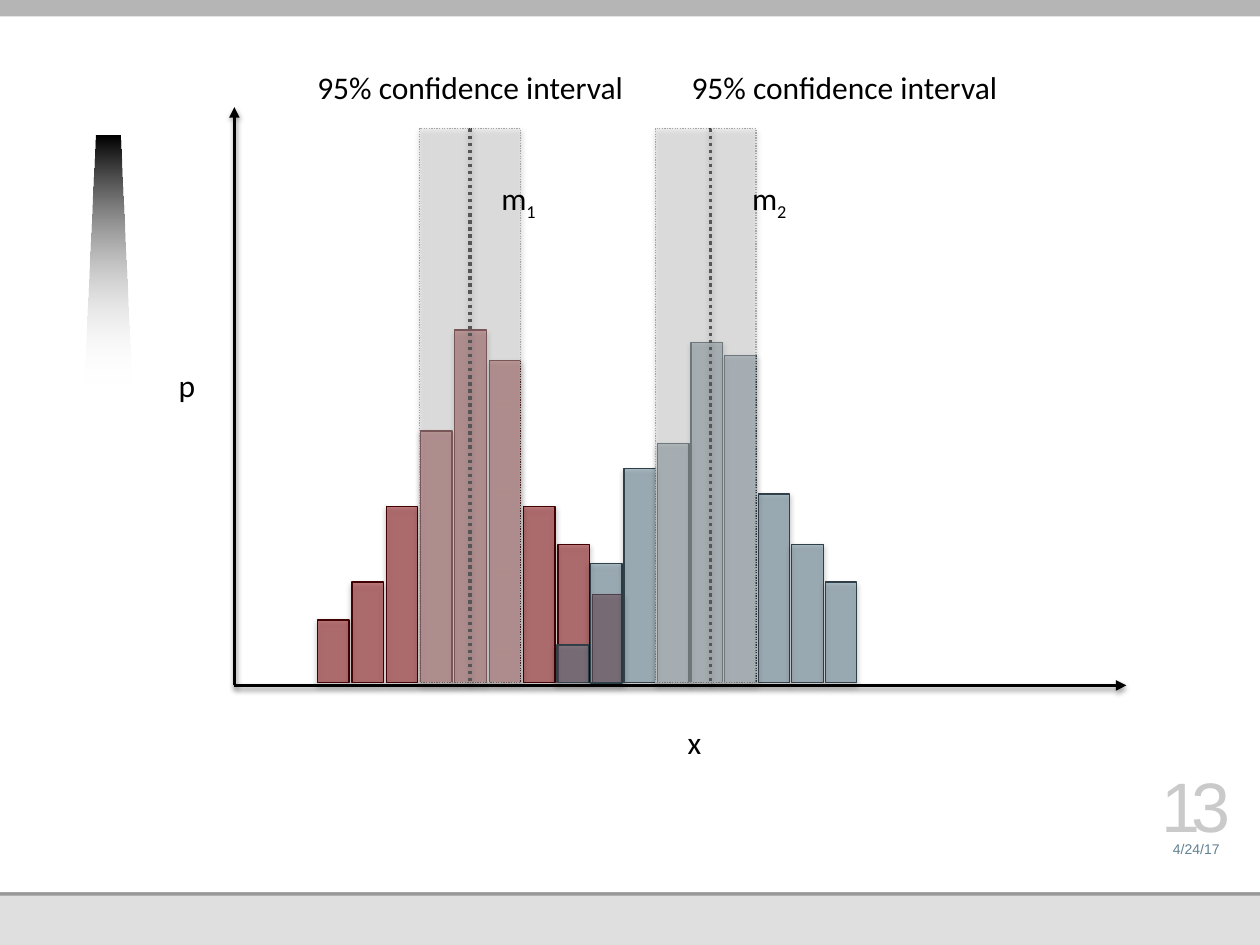
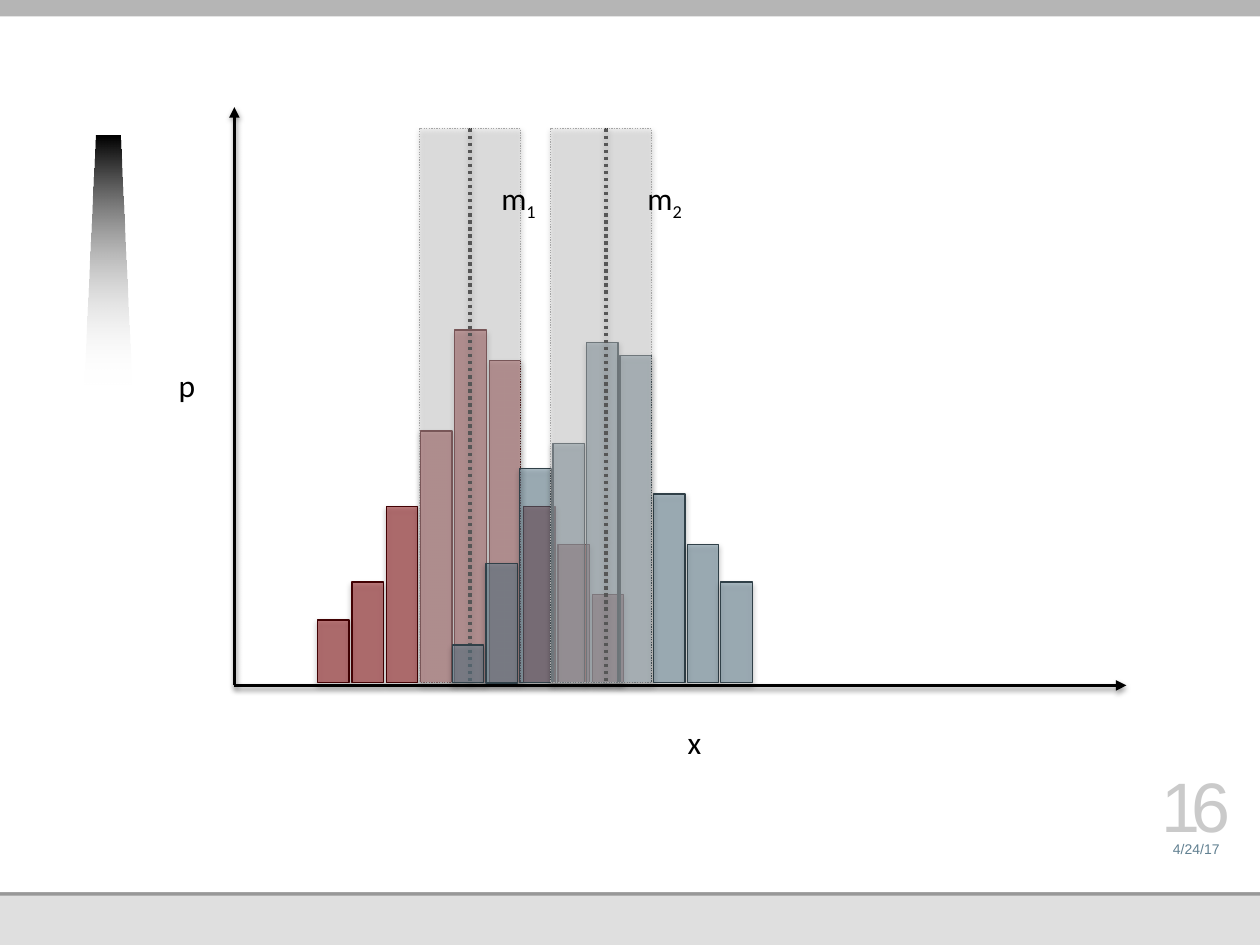
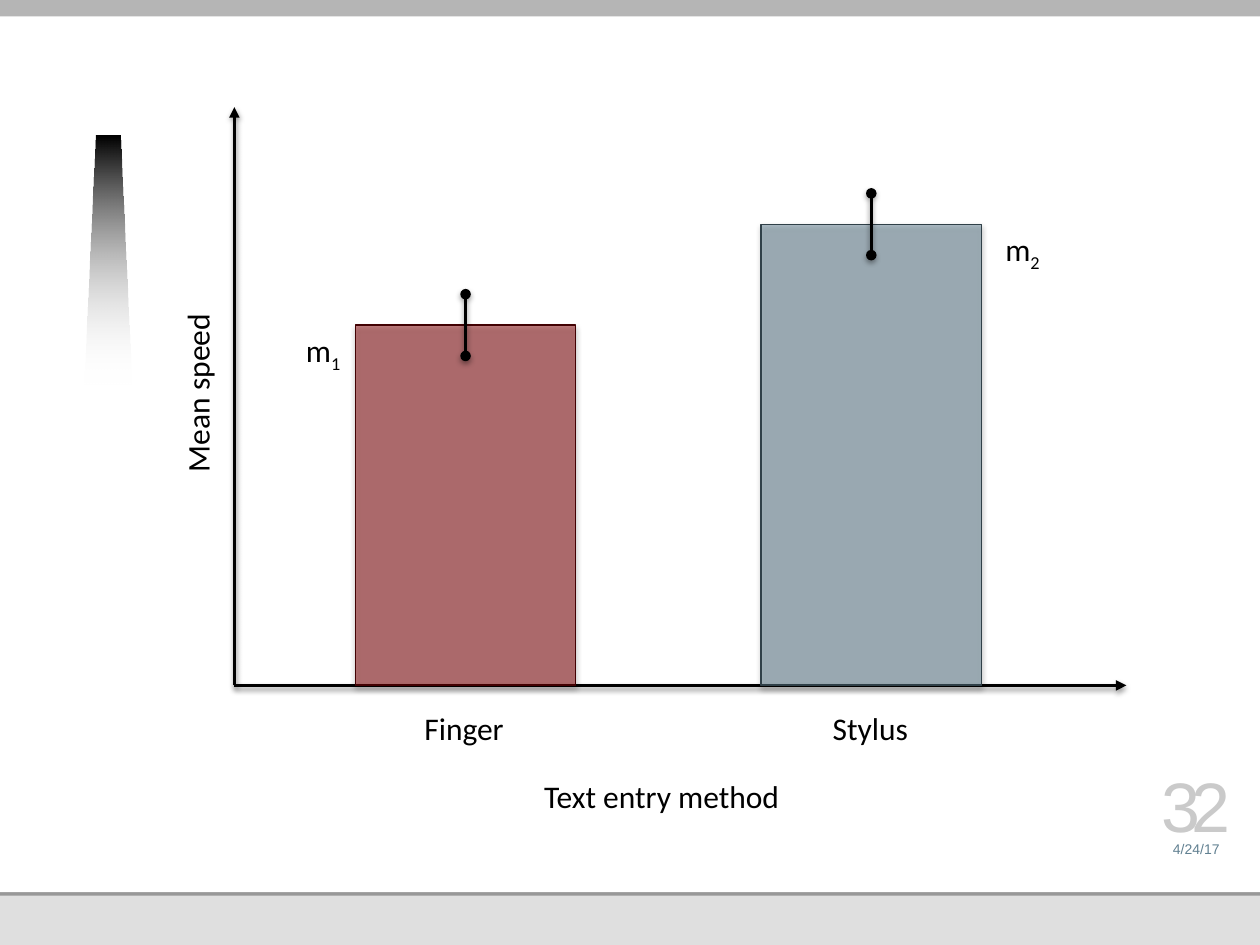
"""Build three slides that compare two sample means."""
from dataclasses import dataclass

from lxml import etree
from pptx import Presentation
from pptx.dml.color import RGBColor
from pptx.enum import dml, shapes, text
from pptx.oxml.ns import qn
from pptx.util import Inches, Pt


@dataclass(frozen=True)
class Theme:
    """Colours, fonts and sizes shared by the slides."""
    black: str = "000000"
    white: str = "FFFFFF"
    footer_band: str = "DFDFDF"
    footer_rule: str = "989898"
    top_band: str = "B5B5B5"
    red: str = "850205"
    red_edge: str = "420103"
    blue: str = "618091"
    blue_edge: str = "304048"
    interval: str = "D9D9D9"
    interval_edge: str = "A6A6A6"
    number: str = "CACACA"
    label_font: str = "Calibri"
    footer_font: str = "Arial"
    label_size: float = 18
    date_size: float = 8
    number_size: float = 40
    axis_width: float = 2
    edge_width: float = 0.75


T = Theme()
ORIGIN_X, ORIGIN_Y = 1.86, 5.44
BAR_BASE, BAR_WIDTH = 5.42, 0.25
INTERVAL_TOP, INTERVAL_WIDTH = 1.02, 0.8
DOT = dml.MSO_LINE.ROUND_DOT


@dataclass(frozen=True)
class Sample:
    """One histogram with its mean and confidence interval."""
    fill: str
    edge: str
    first: float
    last: float
    heights: tuple
    mean: float
    interval: float
    label: float
    index: str


RED = Sample(T.red, T.red_edge, 2.52, 4.7,
             (0.5, 0.8, 1.4, 2, 2.8, 2.56, 1.4, 1.1, 0.7),
             3.74, 3.33, 3.88, "1")
BLUE = Sample(T.blue, T.blue_edge, 4.42, 6.55,
              (0.3, 0.95, 1.7, 1.9, 2.7, 2.6, 1.5, 1.1, 0.8),
              5.64, 5.2, 5.87, "2")


def rgb(colour):
    """Return the colour object for a hex string."""
    return RGBColor.from_string(colour)


def set_alpha(colour_parent, percent):
    """Set the opacity of the colour inside an element."""
    colour = next(colour_parent.iter(qn("a:srgbClr")))
    etree.SubElement(colour, qn("a:alpha"), val=str(percent * 1000))


def add_shadow(sp, opacity, distance):
    """Give a shape or connector a soft shadow straight below it."""
    spPr = sp.element.spPr
    effects = spPr.find(qn("a:effectLst"))
    if effects is None:
        effects = etree.SubElement(spPr, qn("a:effectLst"))
    shadow = etree.SubElement(effects, qn("a:outerShdw"), blurRad=str(Pt(3.1)),
                              dist=str(Pt(distance)), dir="5400000", rotWithShape="0")
    etree.SubElement(shadow, qn("a:srgbClr"), val=T.black)
    set_alpha(shadow, opacity)


def add_band(s, left, top, width, height, fill):
    """Draw a plain rectangle without an outline."""
    sp = s.shapes.add_shape(shapes.MSO_SHAPE.RECTANGLE, Inches(left), Inches(top),
                            Inches(width), Inches(height))
    sp.shadow.inherit = False
    sp.fill.solid()
    sp.fill.fore_color.rgb = rgb(fill)
    sp.line.fill.background()
    return sp


def add_bar(s, left, top, width, height, fill, edge, opacity=50, dash=None):
    """Draw a translucent, outlined rectangle with a shadow."""
    sp = add_band(s, left, top, width, height, fill)
    set_alpha(sp.element.spPr.find(qn("a:solidFill")), opacity)
    sp.line.color.rgb = rgb(edge)
    sp.line.width = Pt(T.edge_width)
    if dash:
        sp.line.dash_style = dash
    add_shadow(sp, 35, 1.8)
    return sp


def add_line(s, x1, y1, x2, y2, head=None, tail=None, dash=None):
    """Draw a black line with optional ends and dashes."""
    line = s.shapes.add_connector(shapes.MSO_CONNECTOR.STRAIGHT, Inches(x1), Inches(y1),
                                  Inches(x2), Inches(y2))
    line.line.color.rgb = rgb(T.black)
    line.line.width = Pt(T.axis_width)
    if dash:
        line.line.dash_style = dash
    ln = line.element.spPr.find(qn("a:ln"))
    for tag, kind in (("a:headEnd", head), ("a:tailEnd", tail)):
        if kind:
            etree.SubElement(ln, qn(tag), type=kind)
    add_shadow(line, 38, 1.6)
    return line


def add_run(p, words, font, size, colour, **attributes):
    """Append a styled run to a paragraph."""
    r = p.add_run()
    r.text = words
    r.font.name = font
    r.font.size = Pt(size)
    r.font.color.rgb = rgb(colour)
    for name, value in attributes.items():
        r._r.get_or_add_rPr().set(name, value)


def add_label(s, left, top, width, words, subscript=None, rotation=0):
    """Write a one-line label, with a subscript if given."""
    sp = s.shapes.add_textbox(Inches(left), Inches(top), Inches(width), Inches(0.4))
    sp.rotation = rotation
    tf = sp.text_frame
    tf.word_wrap = False
    tf.auto_size = text.MSO_AUTO_SIZE.SHAPE_TO_FIT_TEXT
    style = (T.label_font, T.label_size, T.black)
    add_run(tf.paragraphs[0], words, *style)
    if subscript:
        add_run(tf.paragraphs[0], subscript, *style, baseline="-25000")


def add_footer_text(s, top, height, words, size, colour, **attributes):
    """Write a centred line in the footer corner."""
    sp = s.shapes.add_textbox(Inches(9.13), Inches(top), Inches(0.73), Inches(height))
    tf = sp.text_frame
    tf.word_wrap = True
    tf.vertical_anchor = text.MSO_ANCHOR.BOTTOM
    tf.margin_left = tf.margin_top = tf.margin_right = tf.margin_bottom = 0
    p = tf.paragraphs[0]
    p.alignment = text.PP_ALIGN.CENTER
    add_run(p, words, T.footer_font, size, colour, **attributes)


def add_fading_wedge(s):
    """Draw the wedge that fades from black to clear."""
    outline = [(0.67, 3.05), (0.76, 1.08), (0.95, 1.08), (1.04, 3.05)]
    points = [(Inches(x), Inches(y)) for x, y in outline]
    builder = s.shapes.build_freeform(*points[0])
    builder.add_line_segments(points[1:], close=True)
    sp = builder.convert_to_shape()
    sp.shadow.inherit = False
    sp.line.fill.background()
    sp.fill.gradient()
    sp.fill.gradient_angle = 270
    for stop, colour, position in zip(sp.fill.gradient_stops, (T.black, T.white), (0, 1)):
        stop.color.rgb = rgb(colour)
        stop.position = position
    set_alpha(sp.element.spPr.findall(".//" + qn("a:gs"))[-1], 0)


def add_chart_slide(prs, number):
    """Add a slide with the bands, the footer and the two axes."""
    s = prs.slides.add_slide(prs.slide_layouts[6])
    add_band(s, 0, 0, 10, 7.5, T.footer_band)
    add_band(s, 0, 1.78, 10, 5.33, T.footer_rule)
    add_band(s, 0, 0, 10, 7.08, T.white)
    add_fading_wedge(s)
    add_band(s, 0, 0, 10, 0.13, T.top_band)
    add_footer_text(s, 6.58, 0.22, "4/24/17", T.date_size, T.blue)
    add_footer_text(s, 6.16, 0.56, number, T.number_size, T.number, spc="-500")
    add_line(s, ORIGIN_X, ORIGIN_Y, 8.94, ORIGIN_Y, tail="triangle")
    add_line(s, ORIGIN_X, ORIGIN_Y, ORIGIN_X, 0.85, tail="triangle")
    return s


def add_histogram(s, sample, shift=0):
    """Draw the evenly spaced bars of a sample."""
    step = (sample.last - sample.first) / (len(sample.heights) - 1)
    for i, height in enumerate(sample.heights):
        add_bar(s, sample.first + shift + i * step, BAR_BASE - height,
                BAR_WIDTH, height, sample.fill, sample.edge)


def add_interval(s, sample, shift=0):
    """Draw the mean line, confidence interval and label of a sample."""
    mean, left = sample.mean + shift, sample.interval + shift
    line = add_line(s, mean, INTERVAL_TOP, mean, BAR_BASE, dash=DOT)
    sp = add_bar(s, left, INTERVAL_TOP, INTERVAL_WIDTH, BAR_BASE - INTERVAL_TOP,
                 T.interval, T.interval_edge, opacity=40, dash=DOT)
    if abs(mean - left - INTERVAL_WIDTH / 2) < 0.02:
        line.begin_connect(sp, 0)
        line.end_connect(sp, 2)
    add_label(s, sample.label + shift, 1.37, 0.49, "m", sample.index)


def add_density_labels(s):
    """Name the axes of a histogram slide."""
    add_label(s, 5.36, 5.69, 0.31, "x")
    add_label(s, 1.32, 2.86, 0.34, "p")


def add_method(s, sample, left, top, name, name_left, name_width, mean_left):
    """Draw a mean-speed bar with its names and error bar."""
    width, error = 1.75, 0.245
    middle = left + width / 2
    add_bar(s, left, top, width, ORIGIN_Y - top, sample.fill, sample.edge)
    add_label(s, mean_left, top, 0.49, "m", sample.index)
    add_label(s, name_left, 5.58, name_width, name)
    add_line(s, middle, top + error, middle, top - error, head="oval", tail="oval")


def add_separate_samples(prs):
    """Add the slide whose confidence intervals lie far apart."""
    s = add_chart_slide(prs, "13")
    for sample in (RED, BLUE):
        add_histogram(s, sample)
    add_density_labels(s)
    for sample, left in ((RED, 2.42), (BLUE, 5.39)):
        add_interval(s, sample)
        add_label(s, left, 0.49, 2.66, "95% confidence interval")


def add_close_samples(prs):
    """Add the slide whose samples overlap more."""
    s = add_chart_slide(prs, "16")
    add_density_labels(s)
    for sample, shift in ((RED, 0), (BLUE, -0.83)):
        add_histogram(s, sample, shift)
        add_interval(s, sample, shift)


def add_mean_speeds(prs):
    """Add the slide that compares the two entry methods."""
    s = add_chart_slide(prs, "32")
    add_method(s, RED, 2.82, 2.58, "Finger", 3.27, 0.84, 2.33)
    add_method(s, BLUE, 6.04, 1.78, "Stylus", 6.51, 0.81, 7.88)
    add_label(s, 4.22, 6.12, 2.09, "Text entry method")
    add_label(s, 0.83, 2.91, 1.47, "Mean speed", rotation=270)


def main():
    """Build and save the presentation."""
    prs = Presentation()
    prs.slide_width, prs.slide_height = Inches(10), Inches(7.5)
    add_separate_samples(prs)
    add_close_samples(prs)
    add_mean_speeds(prs)
    prs.save("out.pptx")


if __name__ == "__main__":
    main()
